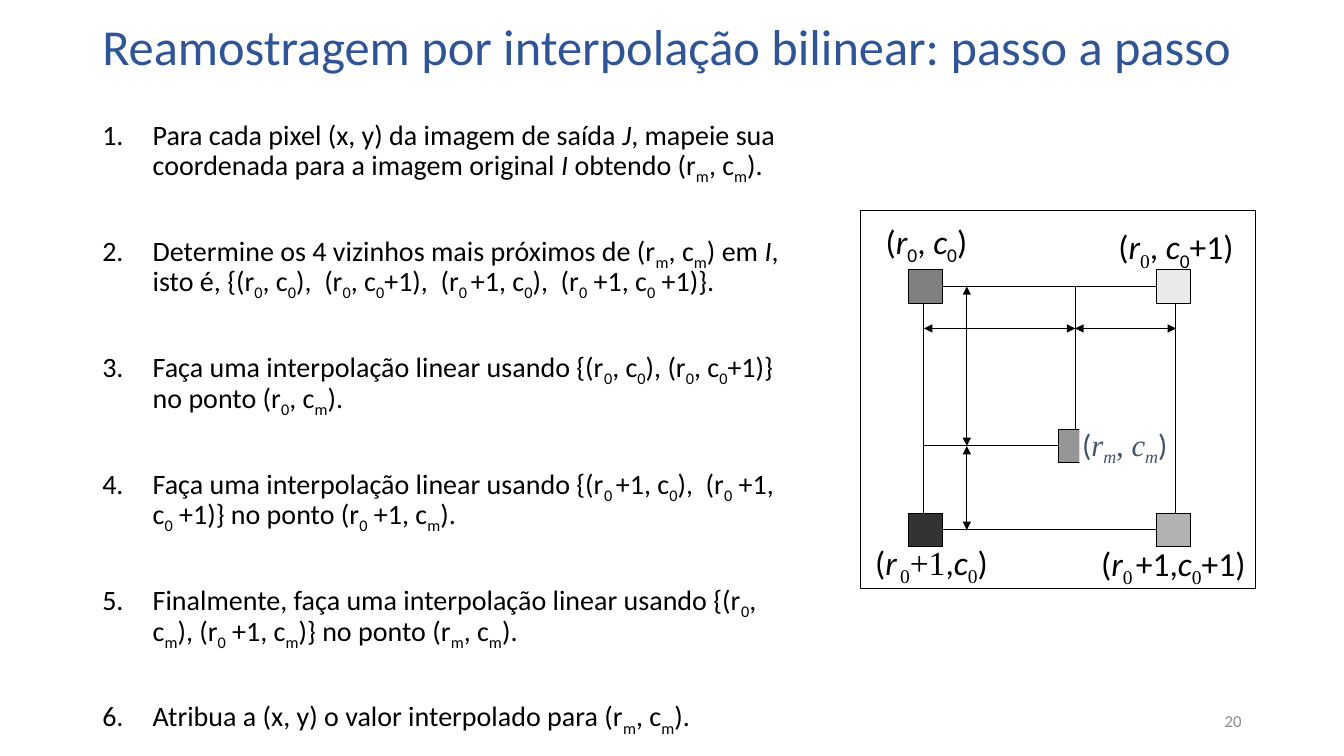
from dataclasses import dataclass

from lxml import etree
from pptx import Presentation
from pptx.dml.color import RGBColor
from pptx.enum.shapes import MSO_CONNECTOR, MSO_SHAPE
from pptx.enum.text import MSO_ANCHOR, PP_ALIGN
from pptx.oxml.ns import qn
from pptx.util import Inches, Pt

RECTANGLE = MSO_SHAPE.RECTANGLE
STRAIGHT = MSO_CONNECTOR.STRAIGHT
TOP, MIDDLE = MSO_ANCHOR.TOP, MSO_ANCHOR.MIDDLE
LEFT, CENTER, RIGHT = PP_ALIGN.LEFT, PP_ALIGN.CENTER, PP_ALIGN.RIGHT

COLUMNS, ROWS = 160, 90
CELL = Inches(1 / 12)
SANS, SERIF = "Calibri", "Times New Roman"
BLACK, WHITE = "000000", "FFFFFF"
LINE_WIDTH = 0.75

GRID_LEFT, GRID_MIDDLE, GRID_RIGHT = 110, 128, 140
GRID_TOP, GRID_CENTER, GRID_BOTTOM = 34.1, 53.1, 63.1
ARROW_COLUMN, ARROW_ROW = 115.1, 39.1
PIXEL_SIZE = 4


@dataclass(frozen=True)
class Box:
    """A rectangle in grid columns and rows."""
    left: float
    top: float
    width: float
    height: float


@dataclass(frozen=True)
class Pixel:
    """A grey image pixel given by its centre."""
    column: float
    row: float
    color: str


@dataclass(frozen=True)
class Arrow:
    """A double-headed distance arrow."""
    start: tuple[float, float]
    end: tuple[float, float]


@dataclass(frozen=True)
class Label:
    """A coordinate label on a white patch."""
    text: str
    box: Box
    size: float = 24
    color: str = BLACK
    padding: float = 0.1


STEPS = [
    "Para cada pixel (x, y) da imagem de saída |*J|, mapeie sua coordenada para a imagem "
    "original |*I| obtendo (r|_m|, c|_m|).",
    "Determine os 4 vizinhos mais próximos de (r|_m|, c|_m|) em |*I|, isto é, {(r|_0|, c|_0|),  "
    "(r|_0|, c|_0|+1),  (r|_0 |+1, c|_0|),  (r|_0| +1, c|_0| +1)}.",
    "Faça uma interpolação linear usando {(r|_0|, c|_0|), (r|_0|, c|_0|+1)} no ponto (r|_0|, c|_m|).",
    "Faça uma interpolação linear usando {(r|_0 |+1, c|_0|),  (r|_0| +1, c|_0| +1)} "
    "no ponto (r|_0| +1, c|_m|).",
    "Finalmente, faça uma interpolação linear usando {(r|_0|, c|_m|), (r|_0| +1, c|_m|)} "
    "no ponto (r|_m|, c|_m|).",
    "Atribua a (x, y) o valor interpolado para (r|_m|, c|_m|).",
]
PIXELS = [
    Pixel(110.2, GRID_TOP, "808080"),
    Pixel(139.7, GRID_TOP, "EAEAEA"),
    Pixel(139.7, GRID_BOTTOM, "B2B2B2"),
    Pixel(110.2, GRID_BOTTOM, "333333"),
    Pixel(GRID_MIDDLE, GRID_CENTER, "969696"),
]
ARROWS = [
    Arrow((GRID_LEFT, ARROW_ROW), (GRID_MIDDLE, ARROW_ROW)),
    Arrow((GRID_MIDDLE, ARROW_ROW), (GRID_RIGHT, ARROW_ROW)),
    Arrow((ARROW_COLUMN, GRID_TOP), (ARROW_COLUMN, GRID_CENTER)),
    Arrow((ARROW_COLUMN, GRID_BOTTOM), (ARROW_COLUMN, GRID_CENTER)),
]
LABELS = [
    Label("(|*r|_0|, |*c|_0|)", Box(105.2, 26.1, 10.2, 5.8)),
    Label("(|*r|^_0|, |*c|_0|+1)", Box(131.9, 27.3, 16.2, 4.7)),
    Label("(|*r|~* |^_0|^+1|,|*c|^_0|)", Box(102.8, 65.4, 16.2, 3.7)),
    Label("(|*r|^_0|~* |+1,|*c|^_0|+1)", Box(131.6, 65.5, 16.2, 3.7)),
    Label("(|^*r|^*_m|^, |^*c|^*_m|)", Box(128.5, 50.4, 10.8, 5.5), 22, "44546A", 0),
]


def rgb(color: str) -> RGBColor:
    """Turn a hex string into a colour."""
    return RGBColor.from_string(color)


def place(box: Box) -> list[int]:
    """Turn grid units into slide lengths."""
    return [round(value * CELL) for value in (box.left, box.top, box.width, box.height)]


def write(shape, text: str, *, size: float, color: str = BLACK, align=LEFT, anchor=MIDDLE,
          wrap: bool = True, padding: float = 0.1, line_spacing: float = 1.0,
          space_before: float = 0, numbered: bool = False) -> None:
    """Write lines of runs split by |, flagged * italic, _ subscript, ^ serif, ~ small."""
    frame = shape.text_frame
    frame.word_wrap, frame.vertical_anchor = wrap, anchor
    frame.margin_left = frame.margin_right = Inches(padding)
    for index, line in enumerate(text.split("\n")):
        paragraph = frame.paragraphs[0] if index == 0 else frame.add_paragraph()
        paragraph.alignment, paragraph.line_spacing = align, line_spacing
        if index:
            paragraph.space_before = Pt(space_before)
        if numbered:
            properties = paragraph._p.get_or_add_pPr()
            properties.set("marL", str(6 * CELL))
            properties.set("indent", str(-6 * CELL))
            etree.SubElement(properties, qn("a:buFont"), typeface="+mj-lt")
            etree.SubElement(properties, qn("a:buAutoNum"), type="arabicPeriod")
        for part in line.split("|"):
            content = part.lstrip("*_^~")
            flags = part[:len(part) - len(content)]
            run = paragraph.add_run()
            run.text = content
            font = run.font
            font.name = SERIF if "^" in flags else SANS
            font.size = Pt(10 if "~" in flags else size)
            font.italic = "*" in flags
            font.color.rgb = rgb(color)
            if "_" in flags:
                run._r.get_or_add_rPr().set("baseline", "-25000")


def add_text(slide, text: str, box: Box, **text_format) -> None:
    """Add a text box."""
    write(slide.shapes.add_textbox(*place(box)), text, **text_format)


def add_rectangle(slide, box: Box, fill: str | None = None, line: str | None = BLACK):
    """Add a rectangle with optional fill and outline."""
    shape = slide.shapes.add_shape(RECTANGLE, *place(box))
    shape.shadow.inherit = False
    if fill:
        shape.fill.solid()
        shape.fill.fore_color.rgb = rgb(fill)
    else:
        shape.fill.background()
    if line:
        shape.line.color.rgb = rgb(line)
        shape.line.width = Pt(LINE_WIDTH)
    else:
        shape.line.fill.background()
    return shape


def add_arrow(slide, arrow: Arrow) -> None:
    """Add a line with a triangle at each end."""
    points = [round(value * CELL) for value in arrow.start + arrow.end]
    connector = slide.shapes.add_connector(STRAIGHT, *points)
    connector.line.color.rgb = rgb(BLACK)
    connector.line.width = Pt(LINE_WIDTH)
    outline = connector.line._get_or_add_ln()
    for end in ("a:headEnd", "a:tailEnd"):
        etree.SubElement(outline, qn(end), type="triangle")
    etree.SubElement(connector._element.spPr, qn("a:effectLst"))


def add_diagram(slide) -> None:
    """Draw the four neighbours and the mapped point between them."""
    add_rectangle(slide, Box(102.5, 25.1, 47, 45), WHITE)
    for right, bottom in ((GRID_RIGHT, GRID_BOTTOM), (GRID_MIDDLE, GRID_CENTER)):
        add_rectangle(slide, Box(GRID_LEFT, GRID_TOP, right - GRID_LEFT, bottom - GRID_TOP))
    for pixel in PIXELS:
        half = PIXEL_SIZE / 2
        add_rectangle(slide, Box(pixel.column - half, pixel.row - half, PIXEL_SIZE, PIXEL_SIZE),
                      pixel.color)
    for arrow in ARROWS:
        add_arrow(slide, arrow)
    for label in LABELS:
        patch = add_rectangle(slide, label.box, WHITE, None)
        write(patch, label.text, size=label.size, color=label.color, align=CENTER,
              wrap=False, padding=label.padding)


def main() -> None:
    """Build and save the slide."""
    presentation = Presentation()
    presentation.slide_width, presentation.slide_height = COLUMNS * CELL, ROWS * CELL
    slide = presentation.slides.add_slide(presentation.slide_layouts[6])
    add_text(slide, "Reamostragem por interpolação bilinear: passo a passo",
             Box(11, 1.7, 138, 8.4), size=36, color="2F5597", line_spacing=0.9)
    add_text(slide, "20", Box(113, 83.4, 36, 4.8), size=12, color="8C8C8C", align=RIGHT)
    add_diagram(slide)
    add_text(slide, "\n".join(STEPS), Box(11, 14.2, 85, 73.2), size=20, anchor=TOP,
             line_spacing=0.8, space_before=39.5, numbered=True)
    presentation.save("out.pptx")


if __name__ == "__main__":
    main()
